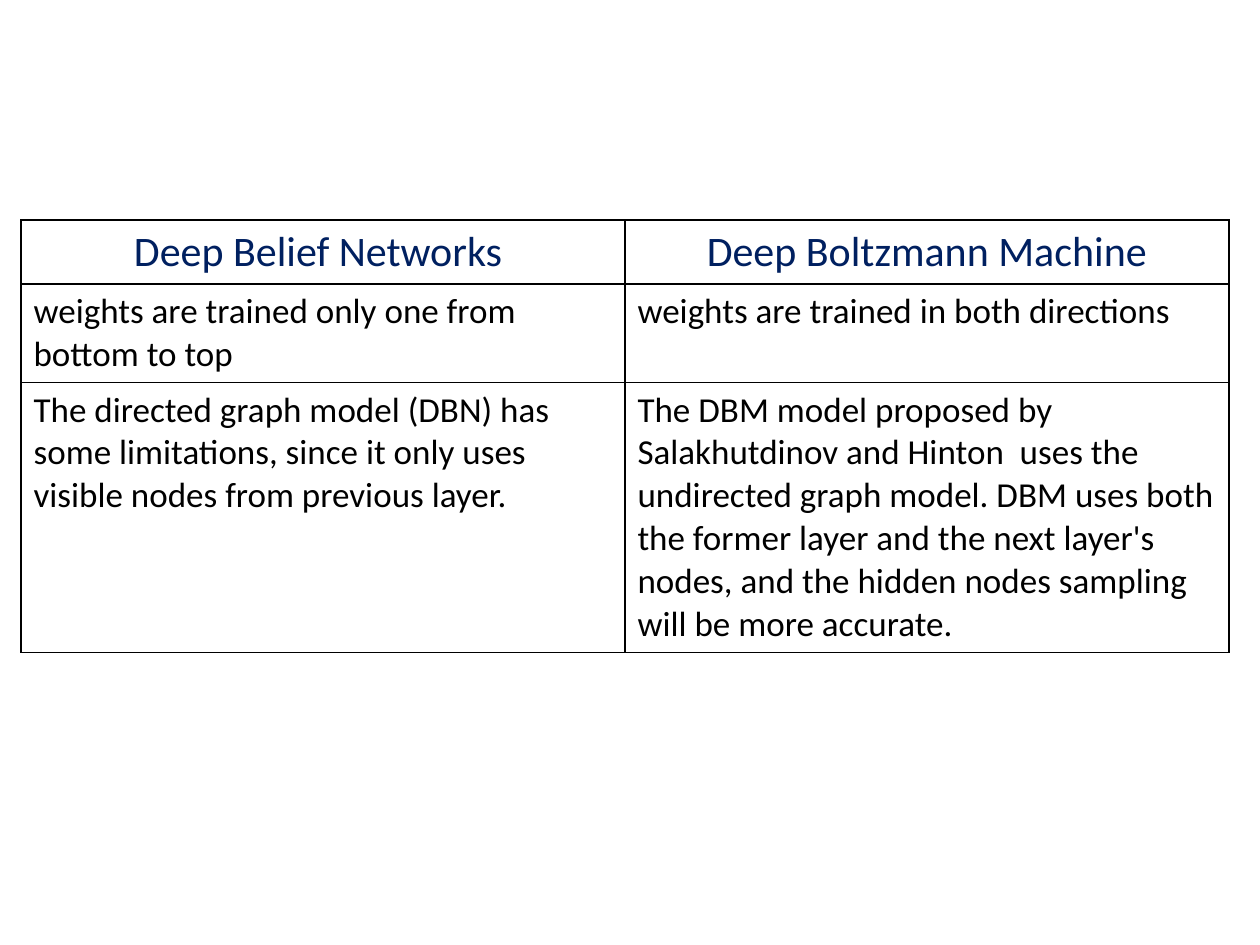
from dataclasses import dataclass

from lxml import etree
from pptx import Presentation
from pptx.dml.color import RGBColor
from pptx.enum import text
from pptx.oxml import ns
from pptx.util import Pt

PX = 914400 // 126  # EMU per px


@dataclass(frozen=True)
class Theme:
    font: str = "Calibri"
    heading_color: str = "002060"
    body_color: str = "000000"
    border_color: str = "000000"
    heading_size: int = 24
    body_size: int = 20
    border_width: int = 1


theme = Theme()


def add_borders(cell):
    """Draw a solid line on all four sides; the lines must precede the fill."""
    properties = cell._tc.get_or_add_tcPr()
    for position, side in enumerate(("lnL", "lnR", "lnT", "lnB")):
        line = etree.Element(ns.qn("a:" + side), w=str(Pt(theme.border_width)))
        fill = etree.SubElement(line, ns.qn("a:solidFill"))
        etree.SubElement(fill, ns.qn("a:srgbClr"), val=theme.border_color)
        properties.insert(position, line)


# Page
deck = Presentation()
deck.slide_width = 1260 * PX
deck.slide_height = 945 * PX
page = deck.slides.add_slide(deck.slide_layouts[6])

# Comparison content
comparison = [
    ("Deep Belief Networks ", "Deep Boltzmann Machine"),
    ("weights are trained only one from bottom to top",
     "weights are trained in both directions"),
    ("The directed graph model (DBN) has some limitations, since it only uses "
     "visible nodes from previous layer.",
     "The DBM model proposed by Salakhutdinov and Hinton  uses the undirected "
     "graph model. DBM uses both the former layer and the next layer's nodes, "
     "and the hidden nodes sampling will be more accurate."),
]
row_heights = [64, 98, 270]
column_width = 604

# Table grid
table = page.shapes.add_table(
    len(comparison), 2, 21 * PX, 220 * PX,
    2 * column_width * PX, sum(row_heights) * PX).table
table.first_row = False
table.horz_banding = False
for column in table.columns:
    column.width = column_width * PX

# Cells
for row_index, (row, entries) in enumerate(zip(table.rows, comparison)):
    row.height = row_heights[row_index] * PX
    heading = row_index == 0
    for cell, entry in zip(row.cells, entries):
        cell.text = entry
        cell.fill.background()
        add_borders(cell)
        para = cell.text_frame.paragraphs[0]
        para.alignment = text.PP_ALIGN.CENTER if heading else text.PP_ALIGN.LEFT
        para.font.name = theme.font
        para.font.size = Pt(theme.heading_size if heading else theme.body_size)
        para.font.color.rgb = RGBColor.from_string(
            theme.heading_color if heading else theme.body_color)

deck.save("out.pptx")
